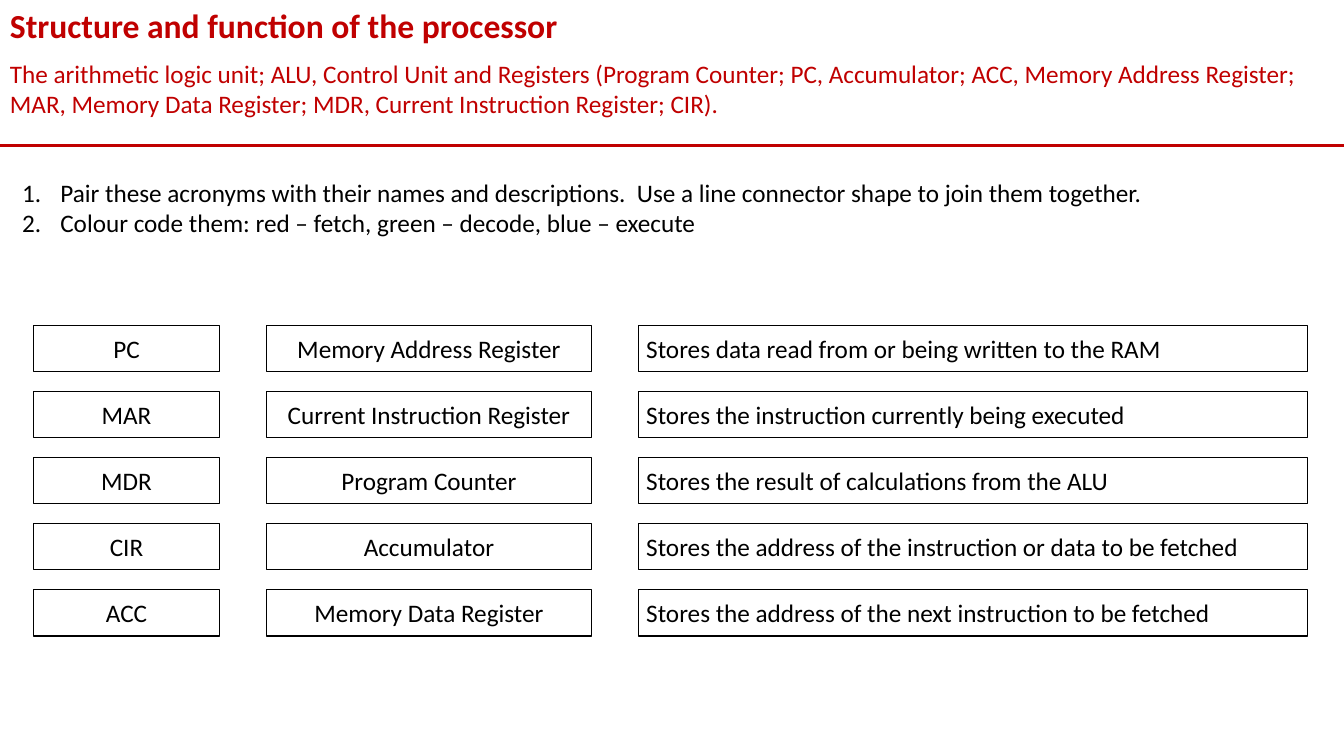
from lxml import etree
from pptx import Presentation
from pptx.dml.color import RGBColor
from pptx.enum.shapes import MSO_CONNECTOR, MSO_SHAPE
from pptx.enum.text import MSO_ANCHOR, MSO_AUTO_SIZE, PP_ALIGN
from pptx.oxml.ns import qn
from pptx.util import Inches, Pt

LEFT, MID = PP_ALIGN.LEFT, PP_ALIGN.CENTER
GROW = MSO_AUTO_SIZE.SHAPE_TO_FIT_TEXT
HUES = {"red": "C00000", "ink": "000000"}
FONT = "Calibri"
WIDE, HIGH = 13.33, 7.5

TITLE = "Structure and function of the processor"
TOPIC = (
    "The arithmetic logic unit; ALU, Control Unit and Registers "
    "(Program Counter; PC, Accumulator; ACC, Memory Address Register; "
    "MAR, Memory Data Register; MDR, Current Instruction Register; CIR)."
)
TASKS = [
    "Pair these acronyms with their names and descriptions.  "
    "Use a line connector shape to join them together.",
    "Colour code them: red – fetch, green – decode, blue – execute",
]
COLS = [
    (0.33, 1.85, MID, ["PC", "MAR", "MDR", "CIR", "ACC"]),
    (2.64, 3.23, MID, [
        "Memory Address Register",
        "Current Instruction Register",
        "Program Counter",
        "Accumulator",
        "Memory Data Register",
    ]),
    (6.33, 6.64, LEFT, [
        "Stores data read from or being written to the RAM",
        "Stores the instruction currently being executed",
        "Stores the result of calculations from the ALU",
        "Stores the address of the instruction or data to be fetched",
        "Stores the address of the next instruction to be fetched",
    ]),
]
TOP, STEP, TALL, PAD = 3.23, 0.655, 0.46, 0.08


def color(hue):
    return RGBColor.from_string(HUES[hue])


def write(frame, lines, hue, size=18, bold=False, align=LEFT):
    frame.text = "\n".join(lines)
    for para in frame.paragraphs:
        para.alignment = align
        for run in para.runs:
            font = run.font
            font.name, font.size, font.bold = FONT, Pt(size), bold
            font.color.rgb = color(hue)


def label(slide, area, lines, hue, wrap=True, **style):
    frame = slide.shapes.add_textbox(*map(Inches, area)).text_frame
    frame.word_wrap = wrap
    frame.auto_size = GROW
    write(frame, lines, hue, **style)
    return frame


def number(frame):
    for para in frame.paragraphs:
        props = para._p.get_or_add_pPr()
        props.set("marL", str(Inches(0.38)))
        props.set("indent", str(Inches(-0.38)))
        mark = etree.SubElement(props, qn("a:buAutoNum"))
        mark.set("type", "arabicPeriod")


def rule(slide, y):
    line = slide.shapes.add_connector(
        MSO_CONNECTOR.STRAIGHT, 0, Inches(y), Inches(WIDE), Inches(y))
    line.line.color.rgb = color("red")
    line.line.width = Pt(2.25)
    etree.SubElement(line._element.spPr, qn("a:effectLst"))


def card(slide, area, text, align):
    box = slide.shapes.add_shape(MSO_SHAPE.RECTANGLE, *map(Inches, area))
    box.shadow.inherit = False
    box.fill.background()
    box.line.color.rgb = color("ink")
    box.line.width = Pt(0.75)
    frame = box.text_frame
    frame.margin_left = frame.margin_right = Inches(PAD)
    frame.margin_top = frame.margin_bottom = Inches(PAD)
    frame.vertical_anchor = MSO_ANCHOR.MIDDLE
    frame.word_wrap = True
    frame.auto_size = GROW
    write(frame, [text], "ink", align=align)


def main():
    deck = Presentation()
    deck.slide_width, deck.slide_height = Inches(WIDE), Inches(HIGH)
    slide = deck.slides.add_slide(deck.slide_layouts[6])
    rule(slide, 1.44)
    label(slide, (0, 0.53, WIDE, 0.71), [TOPIC], "red")
    label(slide, (0, 0, WIDE, 0.5), [TITLE], "red", size=24, bold=True)
    number(label(slide, (0.12, 1.71, 11.38, 0.71), TASKS, "ink", wrap=False))
    for left, width, align, texts in COLS:
        for row, text in enumerate(texts):
            card(slide, (left, TOP + row * STEP, width, TALL), text, align)
    deck.save("out.pptx")


if __name__ == "__main__":
    main()
